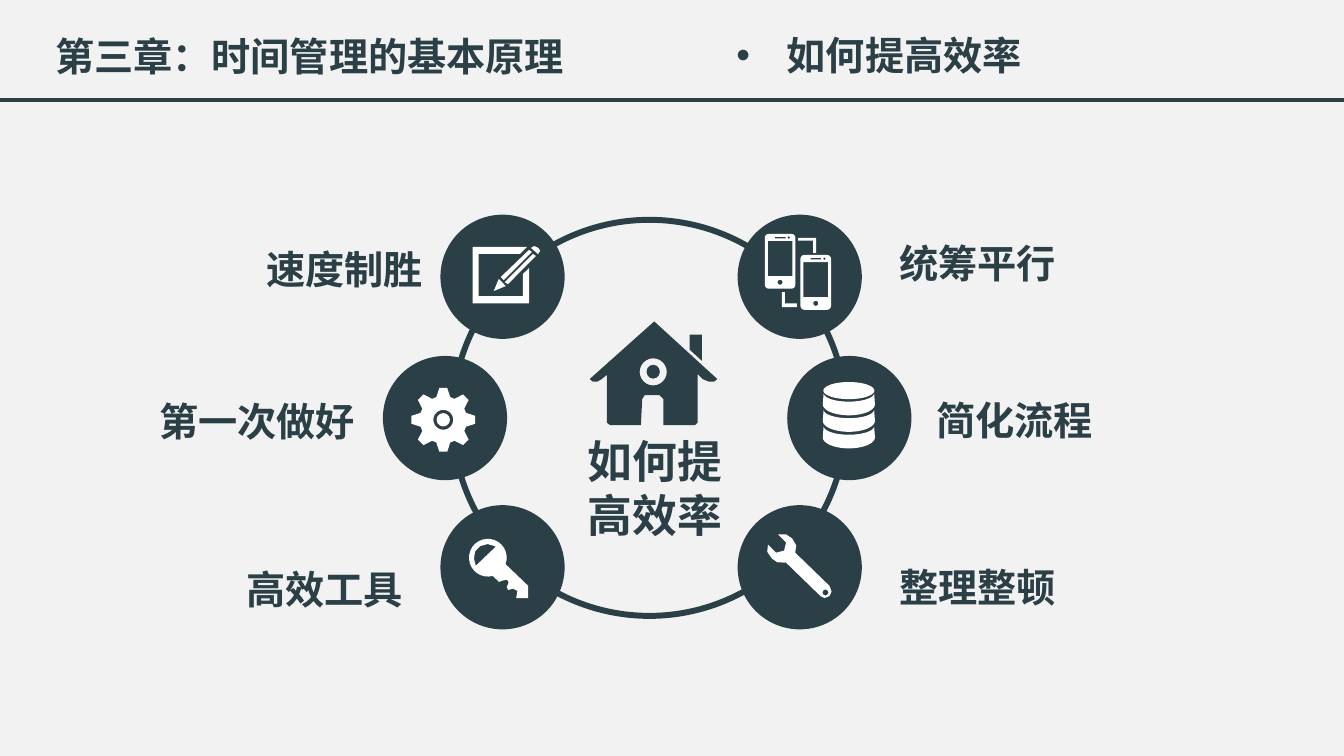
from dataclasses import dataclass
from math import cos, radians, sin

from lxml.etree import SubElement
from pptx import Presentation
from pptx.dml.color import RGBColor
from pptx.enum.shapes import MSO_CONNECTOR as Link, MSO_SHAPE as Preset
from pptx.enum.text import MSO_ANCHOR as Anchor, PP_ALIGN as Align
from pptx.oxml.ns import qn
from pptx.util import Cm, Pt

SLATE = RGBColor(0x2B, 0x3F, 0x46)
WHITE = RGBColor(0xFF, 0xFF, 0xFF)
PALE = RGBColor(0xF2, 0xF2, 0xF2)
FONT = "Noto Sans CJK SC"
WIDTH, HEIGHT = 33.87, 19.05
DISC = 3.13


@dataclass
class Box:
    """A square in centimetres, whose inside is measured from 0 to 100."""
    left: float
    top: float
    size: float

    def at(self, x, y):
        return Cm(self.left + x * self.size / 100), Cm(self.top + y * self.size / 100)

    def length(self, value):
        return Cm(value * self.size / 100)


# Drawing helpers
def arc(x, y, rx, ry, start=0, end=360, steps=24):
    angles = [radians(start + (end - start) * i / steps) for i in range(steps + 1)]
    return [(x + rx * cos(a), y + ry * sin(a)) for a in angles]


def rectangle(x, y, width, height):
    return [(x, y), (x + width, y), (x + width, y + height), (x, y + height)]


def paint(shape, color):
    shape.shadow.inherit = False
    shape.fill.solid()
    shape.fill.fore_color.rgb = color
    shape.line.fill.background()


def outline(group, box, color, *contours):
    first, *holes = contours
    builder = group.shapes.build_freeform(*box.at(*first[0]), scale=1.0)
    builder.add_line_segments([box.at(*point) for point in first[1:]], close=True)
    for hole in holes:
        builder.move_to(*box.at(*hole[0]))
        builder.add_line_segments([box.at(*point) for point in hole[1:]], close=True)
    paint(builder.convert_to_shape(), color)


def oval(group, box, color, x, y, rx, ry):
    shape = group.shapes.add_shape(Preset.OVAL, *box.at(x - rx, y - ry),
                                   box.length(2 * rx), box.length(2 * ry))
    paint(shape, color)


def add_text(page, text, left, top, width, height, size=28, align=Align.LEFT,
             inset=(0.28, 0), wrap=True, bullet=False, spacing=None):
    box = page.shapes.add_textbox(Cm(left), Cm(top), Cm(width), Cm(height))
    frame = box.text_frame
    frame.word_wrap = wrap
    frame.vertical_anchor = Anchor.MIDDLE
    frame.margin_left = frame.margin_right = Cm(inset[0])
    frame.margin_top = frame.margin_bottom = Cm(inset[1])
    para = frame.paragraphs[0]
    para.alignment = align
    if spacing:
        para.line_spacing = spacing
    if bullet:
        properties = para._p.get_or_add_pPr()
        properties.set("marL", str(Cm(1.27)))
        properties.set("indent", str(-Cm(1.27)))
        SubElement(properties, qn("a:buFont")).set("typeface", "Arial")
        SubElement(properties, qn("a:buChar")).set("char", "•")
    span = para.add_run()
    span.text = text
    span.font.size = Pt(size)
    span.font.bold = True
    span.font.name = FONT
    span.font.color.rgb = SLATE
    SubElement(span._r.get_or_add_rPr(), qn("a:ea")).set("typeface", FONT)


# Icons, each inside the square of its disc
def draw_pencil(group, box):
    outline(group, box, WHITE, [(52.6, 57.5), (47, 51.8), (42.9, 61.5)])
    outline(group, box, WHITE, [(71.3, 28.3), (48.6, 50.2), (51, 52.6), (73.7, 30)])
    outline(group, box, WHITE, [(51.8, 54.3), (54.3, 56), (76.9, 33.2), (74.5, 31.6)])
    outline(group, box, WHITE, [(72.9, 26.7), (75.5, 25.2), (78.8, 26.7), (80.3, 29), (78.6, 31.8)])
    outline(group, box, WHITE, [(66.4, 65.6), (30.8, 65.6), (30.8, 31.6), (64, 31.6), (69.6, 25.9),
                                (25.9, 25.9), (25.9, 71.3), (71.3, 71.3), (71.3, 42.9), (66.4, 47.8)])


def draw_gear(group, box):
    x, y = 48.6, 51.4
    teeth = [arc(x, y, radius, radius, 45 * tooth + angle, steps=1)[0] for tooth in range(8)
             for angle, radius in ((-17, 19.1), (-7, 25.9), (7, 25.9), (17, 19.1))]
    outline(group, box, WHITE, teeth, arc(x, y, 8, 8))
    oval(group, box, WHITE, x, y, 5.4, 5.4)


def draw_database(group, box):
    x = 49.6
    for y in (30, 43.3, 56.6):
        outline(group, box, WHITE, arc(x, y, 20.3, 6.8, 0, 180) + arc(x, y + 8.9, 21, 8.9, 180, 0))
    oval(group, box, WHITE, x, 27.9, 20.6, 6.9)


def draw_key(group, box):
    blade = [(70.7, 65), (70.7, 74.8), (61, 74.8), (62, 69), (58.5, 67.2), (54.5, 68.3),
             (53.4, 66), (55, 62), (53.5, 60), (50, 60.7), (47.2, 61.8)]
    outline(group, box, WHITE, arc(38.2, 42.3, 15.2, 15.2, 75, 380) + blade,
            [(28.5, 48.8), (27, 43), (28, 37), (32, 33), (38, 31.3), (44.7, 33.3)])


def draw_wrench(group, box):
    body = [(46.3, 38.2), (47.2, 32.5), (43.9, 26.8), (39, 23.5), (32.5, 23.6), (39, 30),
            (37.4, 36.6), (30.9, 38.2), (24.4, 31.7), (23.8, 37.5), (27.6, 43), (32, 46),
            (39, 46.3), (66.7, 73.2), (70, 74.8), (74, 73.2), (75.6, 69.5), (74, 65)]
    outline(group, box, WHITE, body, arc(70.7, 70.3, 2.3, 2.3))


def draw_phones(group, box):
    for x, y in ((21.9, 15.4), (50.6, 32.4)):
        case = (arc(x + 3.2, y + 3.2, 3.2, 3.2, 180, 270, 4) + arc(x + 21.4, y + 3.2, 3.2, 3.2, 270, 360, 4)
                + arc(x + 21.4, y + 41, 3.2, 3.2, 0, 90, 4) + arc(x + 3.2, y + 41, 3.2, 3.2, 90, 180, 4))
        outline(group, box, WHITE, case, rectangle(x + 2.4, y + 5.7, 19.8, 28.3),
                rectangle(x + 8.2, y + 2.4, 8.5, 1.3), arc(x + 19.3, y + 3, 0.9, 0.9),
                arc(x + 12.3, y + 39, 2, 2))
    outline(group, box, WHITE, [(60.7, 30.8), (63.2, 30.8), (63.2, 18.6), (48.6, 18.6), (48.6, 21), (60.7, 21)])
    outline(group, box, WHITE, [(35.6, 62.3), (38, 62.3), (38, 71.5), (47.8, 71.5), (47.8, 74.5), (35.6, 74.5)])


# Regions
def draw_header(page):
    rule = page.shapes.add_connector(Link.STRAIGHT, 0, Cm(2.52), Cm(WIDTH), Cm(2.52))
    rule.line.color.rgb = SLATE
    rule.line.width = Pt(3)
    SubElement(rule._element.spPr, qn("a:effectLst"))
    add_text(page, "第三章：时间管理的基本原理", 1.14, 0.69, 13.49, 1.45, inset=(0.25, 0.13), wrap=False)
    add_text(page, "如何提高效率", 18.31, 0.66, 9.88, 1.45, inset=(0.25, 0.13), bullet=True)


def draw_ring(page, left, top, width, height):
    ring = page.shapes.add_shape(Preset.OVAL, Cm(left), Cm(top), Cm(width), Cm(height))
    ring.shadow.inherit = False
    ring.fill.background()
    ring.line.color.rgb = SLATE
    ring.line.width = Pt(4.25)


def draw_house(page, box):
    group = page.shapes.add_group_shape()
    walls = [(50.4, 0), (0, 45), (2.5, 47), (6, 47), (9.5, 45), (13.4, 41.7), (13.4, 79), (16, 81),
             (40, 81), (41, 60.6), (43, 57.5), (54.5, 57.5), (57.5, 60.6), (57.5, 81), (82, 81),
             (84.3, 79), (84.3, 41), (88.2, 45), (93, 47), (97, 47), (99.6, 45)]
    outline(group, box, SLATE, walls, arc(49.6, 39.4, 10.6, 10.6))
    outline(group, box, SLATE, [(87.6, 30.7), (87.6, 10.4), (78, 10.4), (78, 22)])
    oval(group, box, SLATE, 49.6, 39.2, 5.2, 5.4)


def draw_topic(page, box, draw_icon, text, left, top, width, align=Align.CENTER):
    group = page.shapes.add_group_shape()
    oval(group, box, SLATE, 50, 50, 50, 50)
    draw_icon(group, box)
    add_text(page, text, left, top, width, 1.19, align=align)


def main():
    deck = Presentation()
    deck.slide_width, deck.slide_height = Cm(WIDTH), Cm(HEIGHT)
    page = deck.slides.add_slide(deck.slide_layouts[6])
    page.background.fill.solid()
    page.background.fill.fore_color.rgb = PALE

    draw_header(page)
    draw_ring(page, 11.4, 5.54, 9.93, 9.98)
    draw_house(page, Box(14.86, 8.1, 3.23))
    add_text(page, "如何提高效率", 14.22, 10.85, 4.57, 2.87, size=32, align=Align.CENTER,
             inset=(0.13, 0.08), spacing=Pt(38.6))

    # Disc corner, icon, then label text and place
    topics = [
        (11.1, 5.41, draw_pencil, "速度制胜", 6.12, 6.17, 5.13),
        (9.65, 8.97, draw_gear, "第一次做好", 3.38, 10.01, 6.2),
        (11.1, 12.73, draw_key, "高效工具", 5.38, 14.25, 5.61),
        (18.59, 12.73, draw_wrench, "整理整顿", 22.38, 14.2, 5.72, Align.LEFT),
        (19.84, 8.97, draw_database, "简化流程", 23.06, 9.98, 5.03),
        (18.59, 5.41, draw_phones, "统筹平行", 21.64, 6.02, 5.99),
    ]
    for left, top, *parts in topics:
        draw_topic(page, Box(left, top, DISC), *parts)
    deck.save("out.pptx")


if __name__ == "__main__":
    main()
